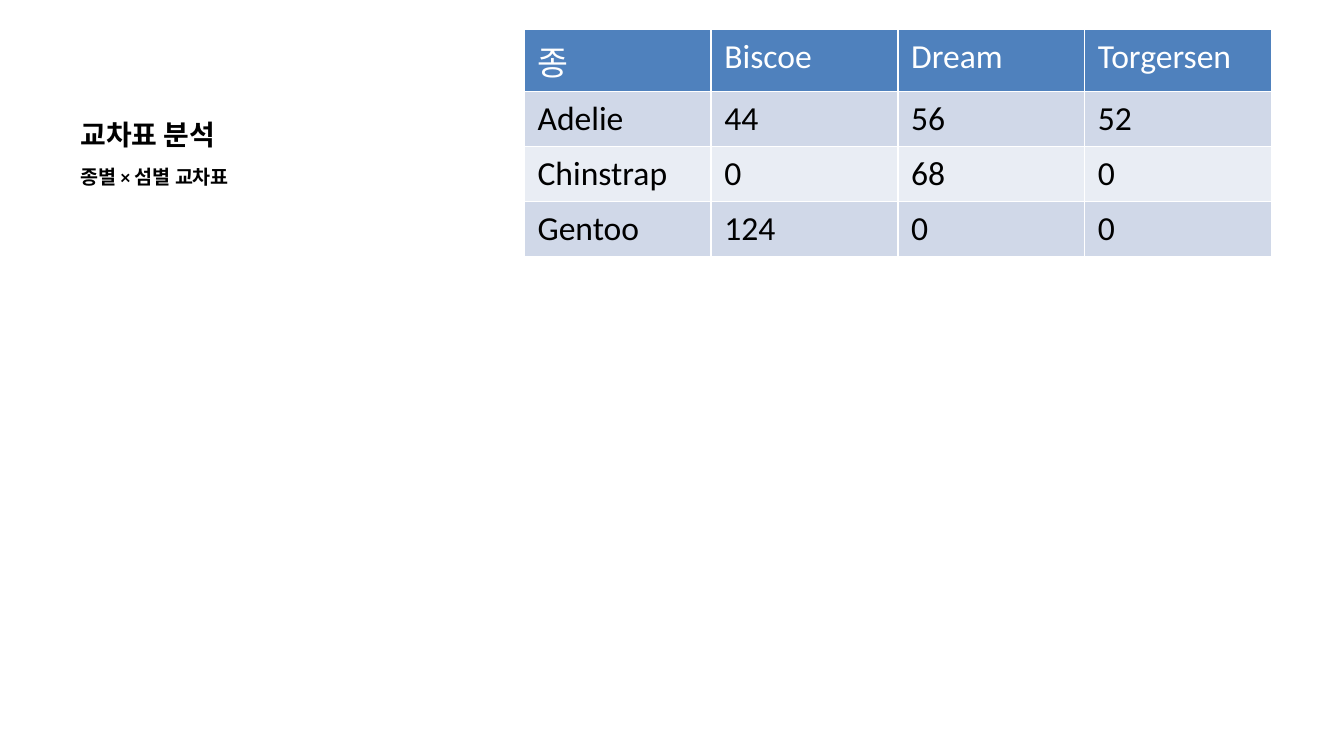
from pptx import Presentation
from pptx.dml.color import RGBColor
from pptx.enum.text import MSO_ANCHOR
from pptx.util import Inches, Pt

# Content
TITLE = "교차표 분석"
SUBTITLE = "종별 × 섬별 교차표"
CROSSTAB = [
    ("종", "Biscoe", "Dream", "Torgersen"),
    ("Adelie", "44", "56", "52"),
    ("Chinstrap", "0", "68", "0"),
    ("Gentoo", "124", "0", "0"),
]

# Style
FONT = "Calibri"
BLACK = RGBColor(0x00, 0x00, 0x00)
WHITE = RGBColor(0xFF, 0xFF, 0xFF)
HEADER_BLUE = RGBColor(0x4F, 0x81, 0xBD)
BANDS = [RGBColor(0xE9, 0xED, 0xF4), RGBColor(0xD0, 0xD8, 0xE8)]

# Layout in inches
SLIDE_WIDTH = 10
SLIDE_HEIGHT = SLIDE_WIDTH * 9 / 16
TEXT_LEFT, TEXT_WIDTH = 0.5, 3.29
TABLE_LEFT, TABLE_TOP = 3.9, 0.22
COLUMN_WIDTH, HEADER_HEIGHT, ROW_HEIGHT = 1.39, 0.46, 0.41


def add_text(frame, text, size, color, bold):
    run = frame.paragraphs[0].add_run()
    run.text = text
    run.font.name = FONT
    run.font.size = Pt(size)
    run.font.bold = bold
    run.font.color.rgb = color


def add_heading(slide, text, top, height, size, anchor):
    box = slide.shapes.add_textbox(
        Inches(TEXT_LEFT), Inches(top), Inches(TEXT_WIDTH), Inches(height))
    frame = box.text_frame
    frame.word_wrap = True
    frame.vertical_anchor = anchor
    add_text(frame, text, size, BLACK, True)


def add_crosstab(slide):
    row_count, column_count = len(CROSSTAB), len(CROSSTAB[0])
    height = HEADER_HEIGHT + ROW_HEIGHT * (row_count - 1)
    # The default table style draws the white grid lines
    table = slide.shapes.add_table(
        row_count, column_count, Inches(TABLE_LEFT), Inches(TABLE_TOP),
        Inches(COLUMN_WIDTH * column_count), Inches(height)).table
    for r, values in enumerate(CROSSTAB):
        is_header = r == 0
        table.rows[r].height = Inches(HEADER_HEIGHT if is_header else ROW_HEIGHT)
        for c, value in enumerate(values):
            cell = table.cell(r, c)
            cell.fill.solid()
            cell.fill.fore_color.rgb = HEADER_BLUE if is_header else BANDS[r % 2]
            add_text(cell.text_frame, value, 18, WHITE if is_header else BLACK, False)


def main():
    deck = Presentation()
    deck.slide_width, deck.slide_height = Inches(SLIDE_WIDTH), Inches(SLIDE_HEIGHT)
    slide = deck.slides.add_slide(deck.slide_layouts[6])

    # Left column: title and subtitle
    add_heading(slide, TITLE, 0.22, 0.95, 15, MSO_ANCHOR.BOTTOM)
    add_heading(slide, SUBTITLE, 1.18, 3.85, 10.5, MSO_ANCHOR.TOP)

    # Right column: species by island
    add_crosstab(slide)
    deck.save("out.pptx")


if __name__ == "__main__":
    main()
